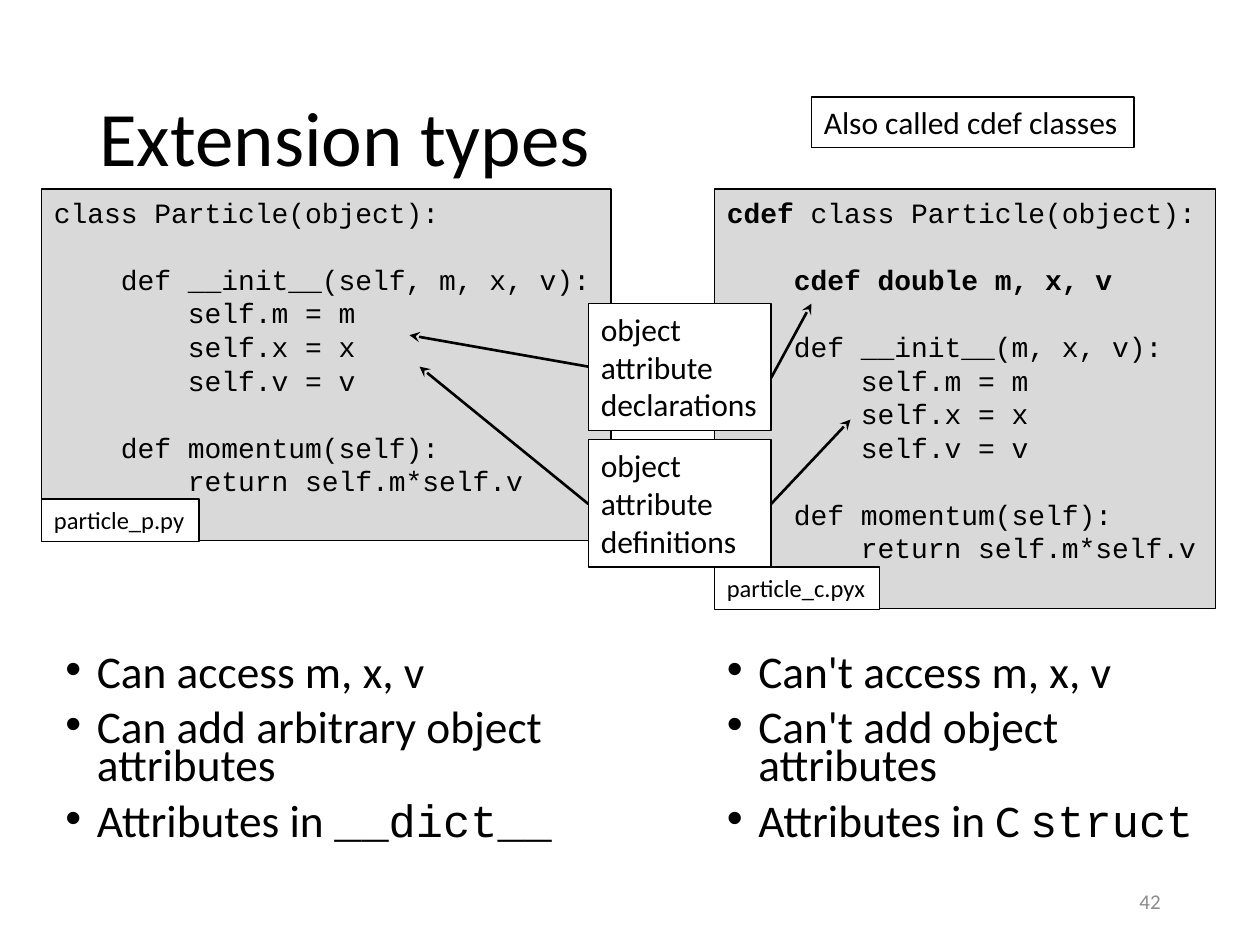
from lxml.etree import SubElement
from pptx import Presentation
from pptx.dml.color import RGBColor
from pptx.enum.shapes import MSO_CONNECTOR, MSO_SHAPE
from pptx.enum.text import MSO_ANCHOR, PP_ALIGN
from pptx.oxml.ns import qn
from pptx.util import Inches, Pt

COLORS = {"ink": "000000", "code": "D9D9D9", "label": "FFFFFF", "number": "8C8C8C"}
BODY, MONO = "Calibri", "Courier New"


class SlideBuilder:
    def __init__(self, slide):
        self.slide = slide

    def color(self, name):
        return RGBColor.from_string(COLORS[name])

    def fill_paragraph(self, paragraph, content, size, font=BODY, color="ink"):
        """Fill a paragraph from a string or a list of (text, font, bold) runs."""
        paragraph.font.size = Pt(size)
        paragraph.font.color.rgb = self.color(color)
        if isinstance(content, str):
            paragraph.text = content
            paragraph.font.name = font
            return
        for text, run_font, bold in content:
            run = paragraph.add_run()
            run.text = text
            run.font.name = run_font
            run.font.bold = bold

    def text(self, content, box, size, color="ink", align=PP_ALIGN.LEFT, spacing=None):
        frame = self.slide.shapes.add_textbox(*map(Inches, box)).text_frame
        frame.word_wrap = True
        frame.vertical_anchor = MSO_ANCHOR.MIDDLE
        paragraph = frame.paragraphs[0]
        paragraph.alignment = align
        paragraph.line_spacing = spacing
        self.fill_paragraph(paragraph, content, size, color=color)

    def bullets(self, items, box):
        frame = self.slide.shapes.add_textbox(*map(Inches, box)).text_frame
        frame.word_wrap = True
        for index, item in enumerate(items):
            paragraph = frame.add_paragraph() if index else frame.paragraphs[0]
            paragraph.line_spacing = 0.7
            paragraph.space_before = Pt(10 if index else 0)
            properties = paragraph._p.get_or_add_pPr()
            properties.set("marL", str(Inches(0.25)))
            properties.set("indent", str(Inches(-0.25)))
            SubElement(properties, qn("a:buFont"), typeface="Arial")
            SubElement(properties, qn("a:buChar"), char="•")
            self.fill_paragraph(paragraph, item, 25.9)

    def panel(self, lines, box, size, font=BODY, fill="label", wrap=False):
        """Draw an outlined rectangle with one paragraph per line."""
        shape = self.slide.shapes.add_shape(MSO_SHAPE.RECTANGLE, *map(Inches, box))
        shape.shadow.inherit = False
        if fill:
            shape.fill.solid()
            shape.fill.fore_color.rgb = self.color(fill)
        else:
            shape.fill.background()
        shape.line.color.rgb = self.color("ink")
        shape.line.width = Pt(0.75)
        frame = shape.text_frame
        frame.word_wrap = wrap
        frame.vertical_anchor = MSO_ANCHOR.TOP
        for index, line in enumerate(lines):
            paragraph = frame.add_paragraph() if index else frame.paragraphs[0]
            paragraph.alignment = PP_ALIGN.LEFT
            self.fill_paragraph(paragraph, line, size, font)

    def arrow(self, start, end):
        line = self.slide.shapes.add_connector(
            MSO_CONNECTOR.STRAIGHT, *map(Inches, start + end))
        line.line.color.rgb = self.color("ink")
        line.line.width = Pt(1.5)
        properties = line._element.spPr
        SubElement(properties.find(qn("a:ln")), qn("a:tailEnd"), type="stealth")
        SubElement(properties, qn("a:effectLst"))


ASSIGNMENTS = ["        self.m = m", "        self.x = x", "        self.v = v"]
MOMENTUM = ["", "    def momentum(self):", "        return self.m*self.v"]
PYTHON_CLASS = ["class Particle(object):", "", "    def __init__(self, m, x, v):",
                *ASSIGNMENTS, *MOMENTUM]
CYTHON_CLASS = [[("cdef", MONO, True), (" class Particle(object):", MONO, False)], "",
                [("    ", MONO, False), ("cdef double m, x, v", MONO, True)], "",
                "    def __init__(m, x, v):", *ASSIGNMENTS, *MOMENTUM]

# source lines, file name, left, width, height, file label width
LISTINGS = [
    (PYTHON_CLASS, "particle_p.py", 0.33, 4.52, 2.79, 1.25),
    (CYTHON_CLASS, "particle_c.pyx", 5.67, 3.98, 3.33, 1.31),
]
# last word, top, wrap, arrow start on the left and its end, the same on the right
CALLOUTS = [
    ("declarations", 2.41, False, 2.91, (3.25, 2.66), 3, (6.44, 2.41)),
    ("definitions", 3.49, True, 4, (3.33, 2.91), 4, (6.75, 3.33)),
]
CALLOUT_LEFT, CALLOUT_WIDTH = 4.67, 1.45


def main():
    presentation = Presentation()
    presentation.slide_width, presentation.slide_height = Inches(10), Inches(7.5)
    builder = SlideBuilder(presentation.slides.add_slide(presentation.slide_layouts[6]))

    builder.text("Extension types", (0.69, 0.4, 8.62, 1.45), 44, spacing=0.9)
    builder.bullets(["Can access m, x, v", "Can add arbitrary object attributes",
                     [("Attributes in ", BODY, False), ("__dict__", MONO, False)]],
                    (0.42, 5.17, 4.17, 1.7))
    builder.bullets(["Can't access m, x, v", "Can't add object attributes",
                     [("Attributes in C ", BODY, False), ("struct", MONO, False)]],
                    (5.67, 5.17, 4, 1.7))
    builder.text("42", (7.06, 6.95, 2.25, 0.4), 12, "number", PP_ALIGN.RIGHT)

    top, label_height = 1.5, 0.34
    for code, file_name, left, width, height, label_width in LISTINGS:
        builder.panel(code, (left, top, width, height), 16, MONO, "code")
        label_top = top + height - label_height + 0.01
        builder.panel([file_name], (left, label_top, label_width, label_height), 14)

    for word, top, wrap, left_y, left_end, right_y, right_end in CALLOUTS:
        builder.panel([f"object\vattribute\v{word}"],
                      (CALLOUT_LEFT, top, CALLOUT_WIDTH, 1.01), 18, wrap=wrap)
        builder.arrow((CALLOUT_LEFT + CALLOUT_WIDTH, right_y), right_end)
        builder.arrow((CALLOUT_LEFT, left_y), left_end)

    builder.panel(["Also called cdef classes"], (6.44, 0.77, 2.56, 0.4), 18, fill=None)
    presentation.save("out.pptx")


if __name__ == "__main__":
    main()
